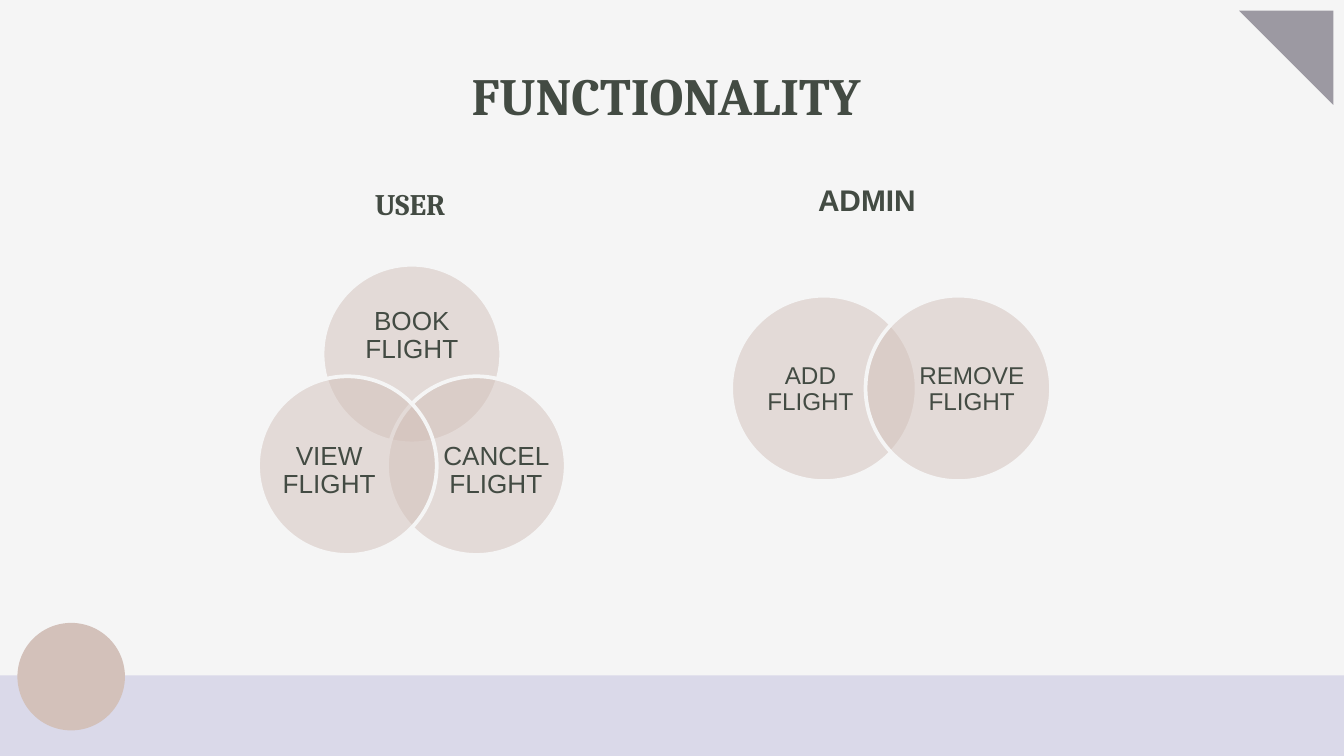
from dataclasses import dataclass

from lxml import etree
from pptx import Presentation
from pptx.dml.color import RGBColor
from pptx.enum.shapes import MSO_SHAPE
from pptx.enum.text import MSO_ANCHOR, PP_ALIGN
from pptx.oxml.ns import qn
from pptx.util import Inches, Pt

OVAL, RECTANGLE, TRIANGLE = MSO_SHAPE.OVAL, MSO_SHAPE.RECTANGLE, MSO_SHAPE.RIGHT_TRIANGLE
CENTER, LEFT = PP_ALIGN.CENTER, PP_ALIGN.LEFT
TOP, MIDDLE, BOTTOM = MSO_ANCHOR.TOP, MSO_ANCHOR.MIDDLE, MSO_ANCHOR.BOTTOM
TITLE_ONLY = 5


@dataclass(frozen=True)
class Theme:
    background: RGBColor = RGBColor.from_string("F5F5F5")
    band: RGBColor = RGBColor.from_string("DAD9E9")
    rose: RGBColor = RGBColor.from_string("D3C1BA")
    corner: RGBColor = RGBColor.from_string("9C99A2")
    ink: RGBColor = RGBColor.from_string("434B43")
    serif: str = "Cambria"
    sans: str = "Arial"
    title_size: int = 28
    heading_size: int = 16
    user_size: int = 14
    admin_size: int = 13


THEME = Theme()


def place(shape, box):
    shape.left, shape.top, shape.width, shape.height = map(Inches, box)


def write(shape, text, font_name, size, bold=False, align=CENTER, anchor=MIDDLE, inset=0.1):
    frame = shape.text_frame
    frame.word_wrap = True
    frame.vertical_anchor = anchor
    frame.margin_left = frame.margin_right = Inches(inset)
    frame.margin_top = frame.margin_bottom = Inches(inset)
    paragraph = frame.paragraphs[0]
    paragraph.text = text
    paragraph.alignment = align
    font = paragraph.font
    font.name, font.size, font.bold = font_name, Pt(size), bold
    font.color.rgb = THEME.ink
    return paragraph


def add_filled(shapes, kind, box, color):
    shape = shapes.add_shape(kind, *map(Inches, box))
    shape.shadow.inherit = False
    shape.fill.solid()
    shape.fill.fore_color.rgb = color
    shape.line.fill.background()
    return shape


def add_decoration(shapes, width, height):
    band_height = 0.6
    add_filled(shapes, RECTANGLE, (0, height - band_height, width, band_height), THEME.band)
    add_filled(shapes, OVAL, (0.13, height - 0.99, 0.8, 0.8), THEME.rose)
    corner = add_filled(shapes, TRIANGLE, (width - 0.78, 0.08, 0.7, 0.7), THEME.corner)
    corner.rotation = 180


def add_title(slide, box):
    title = slide.shapes.title
    place(title, box)
    write(title, "FUNCTIONALITY", THEME.serif, THEME.title_size, bold=True, anchor=TOP)


def add_heading(shapes, box, text, font_name, align):
    heading = shapes.add_textbox(*map(Inches, box))
    paragraph = write(heading, text, font_name, THEME.heading_size, True, align, BOTTOM)
    properties = paragraph._p.get_or_add_pPr()
    properties.set("marL", str(Inches(0.5)))
    properties.set("indent", str(Inches(-0.33)))


def add_venn(shapes, left, top, diameter, size, sets):
    """Each set has a text, its circle's offset in the diagram, and its label's box in the circle."""
    venn = shapes.add_group_shape().shapes
    for text, (dx, dy), (label_x, label_y, label_width, label_height) in sets:
        x, y = left + dx, top + dy
        circle = add_filled(venn, OVAL, (x, y, diameter, diameter), THEME.rose)
        color = circle.fill._xPr.find(qn("a:solidFill"))[0]
        etree.SubElement(color, qn("a:alpha")).set("val", "50000")
        circle.line.color.rgb = THEME.background
        circle.line.width = Pt(2)
        label_box = (x + label_x, y + label_y, label_width, label_height)
        label = venn.add_textbox(*map(Inches, label_box))
        write(label, text, THEME.sans, size, inset=0).line_spacing = 0.9


def add_user_section(shapes, left, top):
    add_heading(shapes, (left + 0.6, top, 1.09, 0.49), "USER", THEME.serif, LEFT)
    step_x, step_y = 0.48, 0.83
    add_venn(shapes, left, top + 0.71, 1.33, THEME.user_size, [
        ("BOOK FLIGHT", (step_x, 0), (0.18, 0.23, 0.97, 0.6)),
        ("CANCEL FLIGHT", (2 * step_x, step_y), (0.41, 0.34, 0.8, 0.73)),
        ("VIEW FLIGHT", (0, step_y), (0.13, 0.34, 0.8, 0.73)),
    ])


def add_admin_section(shapes, left, top):
    add_heading(shapes, (left + 0.12, top, 1.61, 0.4), "ADMIN", THEME.sans, CENTER)
    add_venn(shapes, left, top + 0.88, 1.38, THEME.admin_size, [
        ("ADD FLIGHT", (0, 0), (0.19, 0.17, 0.8, 1.06)),
        ("REMOVE FLIGHT", (1, 0), (0.39, 0.17, 0.8, 1.06)),
    ])


def main():
    width = 10
    height = width * 9 / 16
    deck = Presentation()
    deck.slide_width, deck.slide_height = Inches(width), Inches(height)
    slide = deck.slides.add_slide(deck.slide_layouts[TITLE_ONLY])
    slide.background.fill.solid()
    slide.background.fill.fore_color.rgb = THEME.background
    add_decoration(slide.shapes, width, height)
    add_title(slide, (1.22, 0.37, 7.47, 0.63))
    add_user_section(slide.shapes, 1.92, 1.26)
    add_admin_section(slide.shapes, 5.44, 1.32)
    deck.save("out.pptx")


if __name__ == "__main__":
    main()
